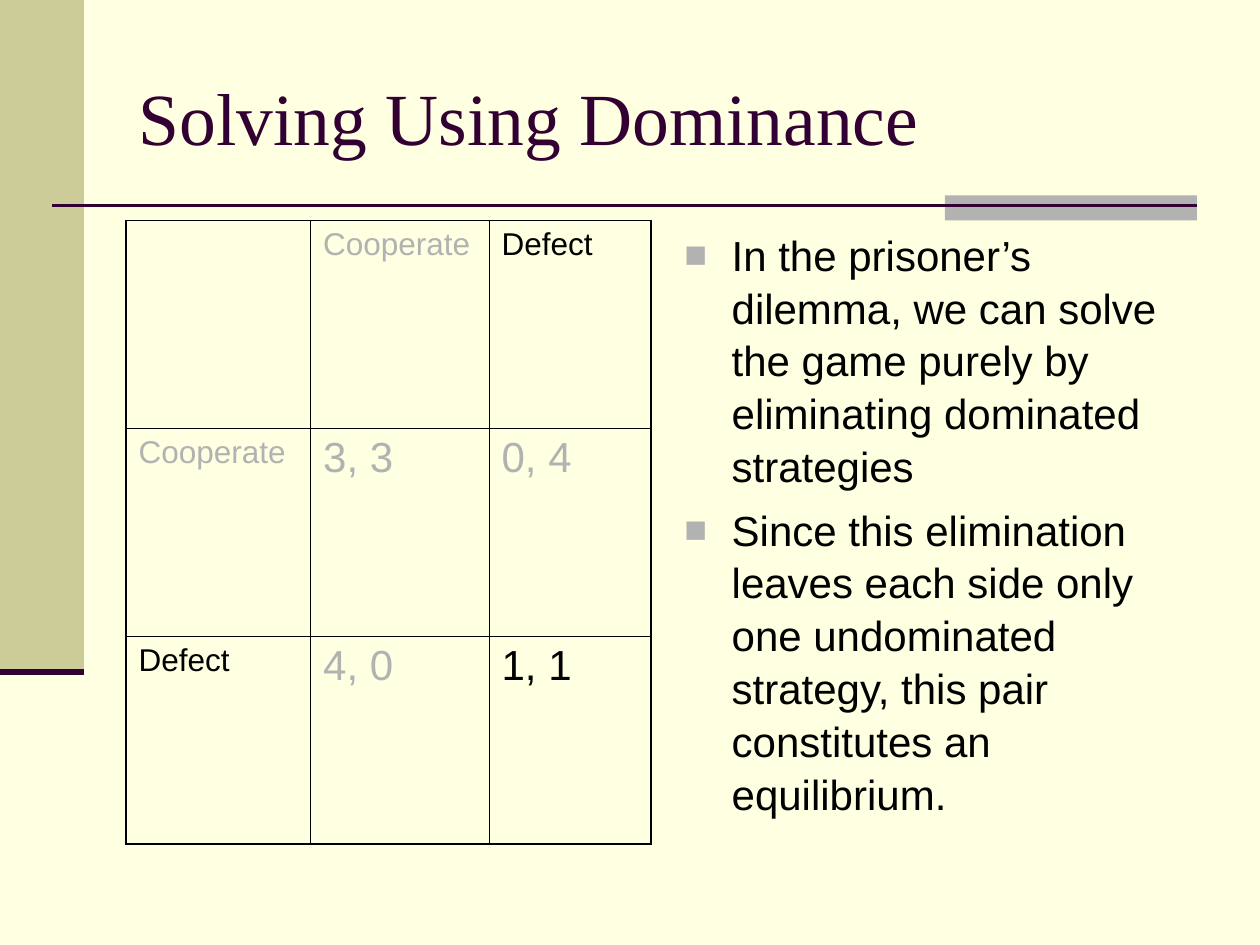
from lxml import etree
from pptx import Presentation
from pptx.dml.color import RGBColor as Rgb
from pptx.enum.shapes import MSO_CONNECTOR as Conn, MSO_SHAPE as Shape
from pptx.enum.text import MSO_ANCHOR as Anchor, PP_ALIGN as Align
from pptx.oxml.ns import qn
from pptx.util import Pt

SANS, SERIF = "Arial", "Times New Roman"
CREAM, KHAKI, GRAY = "FFFFE1", "CCCC99", "B2B2B2"
PLUM, BLACK = "330033", "000000"


def tint(text):
    return Rgb.from_string(text)


def sub(node, tag, **attrs):
    return etree.SubElement(node, qn(tag), attrs)


class Page:
    """Holds the style and the current slide; all lengths are points."""

    thick, thin = 1.08, 0.45

    def __init__(self, deck):
        self.slide = deck.slides.add_slide(deck.slide_layouts[5])
        self.shapes = self.slide.shapes
        fill = self.slide.background.fill
        fill.solid()
        fill.fore_color.rgb = tint(CREAM)

    def add_text(self, para, text, size, color=BLACK, face=SANS):
        run = para.add_run()
        run.text = text
        font = run.font
        font.size, font.name, font.bold = Pt(size), face, False
        font.color.rgb = tint(color)

    def rect(self, x, y, w, h, color):
        box = self.shapes.add_shape(Shape.RECTANGLE, Pt(x), Pt(y), Pt(w), Pt(h))
        box.shadow.inherit = False
        box.fill.solid()
        box.fill.fore_color.rgb = tint(color)
        box.line.fill.background()

    def rule(self, x, y, end, width):
        line = self.shapes.add_connector(
            Conn.STRAIGHT, Pt(x), Pt(y), Pt(end), Pt(y))
        line.line.color.rgb = tint(PLUM)
        line.line.width = Pt(width)
        sub(line._element.spPr, "a:effectLst")

    def title(self, text, x, y, w, h):
        box = self.shapes.title
        box.left, box.top, box.width, box.height = Pt(x), Pt(y), Pt(w), Pt(h)
        box.text_frame.vertical_anchor = Anchor.MIDDLE
        para = box.text_frame.paragraphs[0]
        para.alignment = Align.LEFT
        self.add_text(para, text, 42, PLUM, SERIF)

    def edge(self, cell, side, width):
        line = sub(cell._tc.get_or_add_tcPr(), "a:ln" + side, w=str(Pt(width)))
        sub(sub(line, "a:solidFill"), "a:srgbClr", val=BLACK)

    def table(self, rows, x, y, widths, height):
        count, wide = len(rows), len(widths)
        grid = self.shapes.add_table(
            count, wide, Pt(x), Pt(y), Pt(sum(widths)), Pt(height * count)).table
        grid.first_row = grid.horz_banding = False
        for col, width in zip(grid.columns, widths):
            col.width = Pt(width)
        for r, row in enumerate(rows):
            grid.rows[r].height = Pt(height)
            for c, (text, color) in enumerate(row):
                cell = grid.cell(r, c)
                # Outer edges are thick, inner ones thin
                outer = {"L": c == 0, "R": c == wide - 1,
                         "T": r == 0, "B": r == count - 1}
                for side, out in outer.items():
                    self.edge(cell, side, self.thick if out else self.thin)
                cell.fill.background()
                if text:
                    # Strategy names are smaller than payoffs
                    size = 24 if r and c else 18
                    para = cell.text_frame.paragraphs[0]
                    self.add_text(para, text, size, color)

    def bullets(self, items, x, y, w, h):
        frame = self.shapes.add_textbox(Pt(x), Pt(y), Pt(w), Pt(h)).text_frame
        frame.word_wrap = True
        for i, text in enumerate(items):
            para = frame.add_paragraph() if i else frame.paragraphs[0]
            props = para._p.get_or_add_pPr()
            props.set("marL", str(Pt(27)))
            props.set("indent", str(Pt(-27)))
            sub(sub(props, "a:buClr"), "a:srgbClr", val=GRAY)
            sub(props, "a:buSzPct", val="90000")
            sub(props, "a:buFont", typeface=SANS)
            sub(props, "a:buChar", char="■")
            para.line_spacing = 1.05
            if i:
                para.space_before = Pt(6)
            self.add_text(para, text, 24)


def main():
    deck = Presentation()
    deck.slide_width, deck.slide_height = Pt(720), Pt(540)
    page = Page(deck)

    # Side band and title rule
    page.rect(0, 0, 48, 384, KHAKI)
    page.rect(540, 111.6, 144, 14.4, GRAY)
    page.rule(30, 117.6, 684, 1.5)
    page.rule(0, 384, 48, 3.5)
    page.title("Solving Using Dominance", 72, 21.6, 612, 90)

    # Payoffs, with dominated strategies in gray
    page.table([
        [("", BLACK), ("Cooperate", GRAY), ("Defect", BLACK)],
        [("Cooperate", GRAY), ("3, 3", GRAY), ("0, 4", GRAY)],
        [("Defect", BLACK), ("4, 0", GRAY), ("1, 1", BLACK)],
    ], 72, 126, [105.5, 102, 92.5], 118.8)

    # Explanation
    page.bullets([
        "In the prisoner’s dilemma, we can solve the game purely by "
        "eliminating dominated strategies",
        "Since this elimination leaves each side only one undominated "
        "strategy, this pair constitutes an equilibrium.",
    ], 384, 126, 300, 356.4)

    deck.save("out.pptx")


if __name__ == "__main__":
    main()
